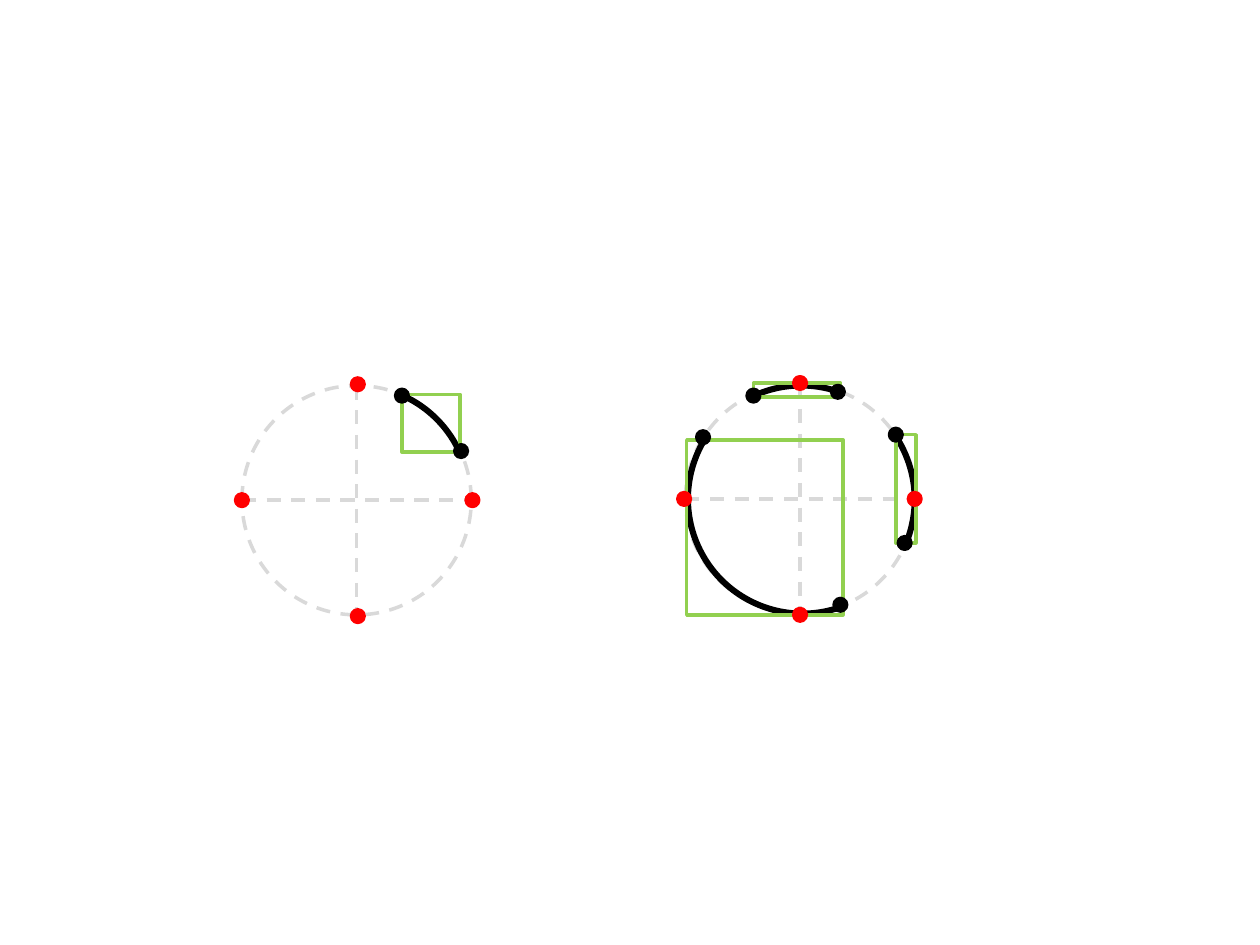
import pptx
import pptx.dml.color
import pptx.enum.dml
import pptx.enum.shapes
import pptx.oxml.ns
import pptx.util
from lxml import etree

Inches = pptx.util.Inches
Pt = pptx.util.Pt
KIND = pptx.enum.shapes.MSO_SHAPE
DASH = pptx.enum.dml.MSO_LINE.DASH

theme = {
    "guide": {"color": "D9D9D9", "line": {"width": Pt(2), "dash_style": DASH}},
    "arc": {"color": "000000", "line": {"width": Pt(3.5)}},
    "bounds": {"color": "92D050", "line": {"width": Pt(2)}},
    "endpoint": {"color": "000000", "fill": True, "line": {"width": Pt(2)}},
    "extreme": {"color": "FF0000", "fill": True, "line": {"width": Pt(2)}},
}


def style_line(line, role):
    line.color.rgb = pptx.dml.color.RGBColor.from_string(theme[role]["color"])
    for attribute, value in theme[role]["line"].items():
        setattr(line, attribute, value)


def add_part(group, kind, box, role):
    part = group.shapes.add_shape(kind, *[Inches(length) for length in box])
    part.shadow.inherit = False
    if theme[role].get("fill"):
        part.fill.solid()
        part.fill.fore_color.rgb = pptx.dml.color.RGBColor.from_string(theme[role]["color"])
    else:
        part.fill.background()
    style_line(part.line, role)
    return part


radius = 0.91
dot = 0.1
circles = [
    {
        "center": (2.83, 3.97),
        "extremes_center": (2.84, 3.97),
        "arcs": [((1.92, 3.06, 1.81, 1.81), 294.41, 335.13)],
        "bounds": [(3.19, 3.13, 0.46, 0.46)],
        "endpoints": [(3.19, 3.14), (3.66, 3.58)],
    },
    {
        "center": (6.35, 3.96),
        "extremes_center": (6.35, 3.96),
        "arcs": [
            ((5.43, 3.05, 1.83, 1.83), 325.89, 24.38),
            ((5.46, 3.05, 1.82, 1.82), 70.13, 213.08),
            ((5.45, 3.06, 1.82, 1.82), 243.66, 288.11),
        ],
        "bounds": [
            (5.98, 3.04, 0.69, 0.11),
            (7.11, 3.45, 0.16, 0.86),
            (5.45, 3.49, 1.24, 1.39),
        ],
        "endpoints": [
            (5.98, 3.14), (6.65, 3.11), (7.11, 3.45),
            (7.18, 4.31), (5.58, 3.47), (6.67, 4.8),
        ],
    },
]

presentation = pptx.Presentation()
presentation.slide_width = Inches(10)
presentation.slide_height = Inches(7.5)
slide = presentation.slides.add_slide(presentation.slide_layouts[6])

for circle in circles:
    group = slide.shapes.add_group_shape()
    x, y = circle["center"]
    for dx, dy in [(radius, 0), (0, radius)]:
        ends = [Inches(length) for length in (x - dx, y - dy, x + dx, y + dy)]
        axis = group.shapes.add_connector(pptx.enum.shapes.MSO_CONNECTOR.STRAIGHT, *ends)
        style_line(axis.line, "guide")
        etree.SubElement(axis._element.spPr, pptx.oxml.ns.qn("a:effectLst"))
    add_part(group, KIND.OVAL, (x - radius, y - radius, 2 * radius, 2 * radius), "guide")

    for box, start, end in circle["arcs"]:
        arc = add_part(group, KIND.ARC, box, "arc")
        for index, degrees in enumerate((start, end)):
            arc.adjustments[index] = degrees * 0.6

    for box in circle["bounds"]:
        add_part(group, KIND.RECTANGLE, box, "bounds")

    x, y = circle["extremes_center"]
    reach = 0.92
    extremes = [(x, y - reach), (x + radius, y), (x, y + reach), (x - reach, y)]
    for role, points in [("endpoint", circle["endpoints"]), ("extreme", extremes)]:
        for px, py in points:
            add_part(group, KIND.OVAL, (px - dot / 2, py - dot / 2, dot, dot), role)

presentation.save("out.pptx")
